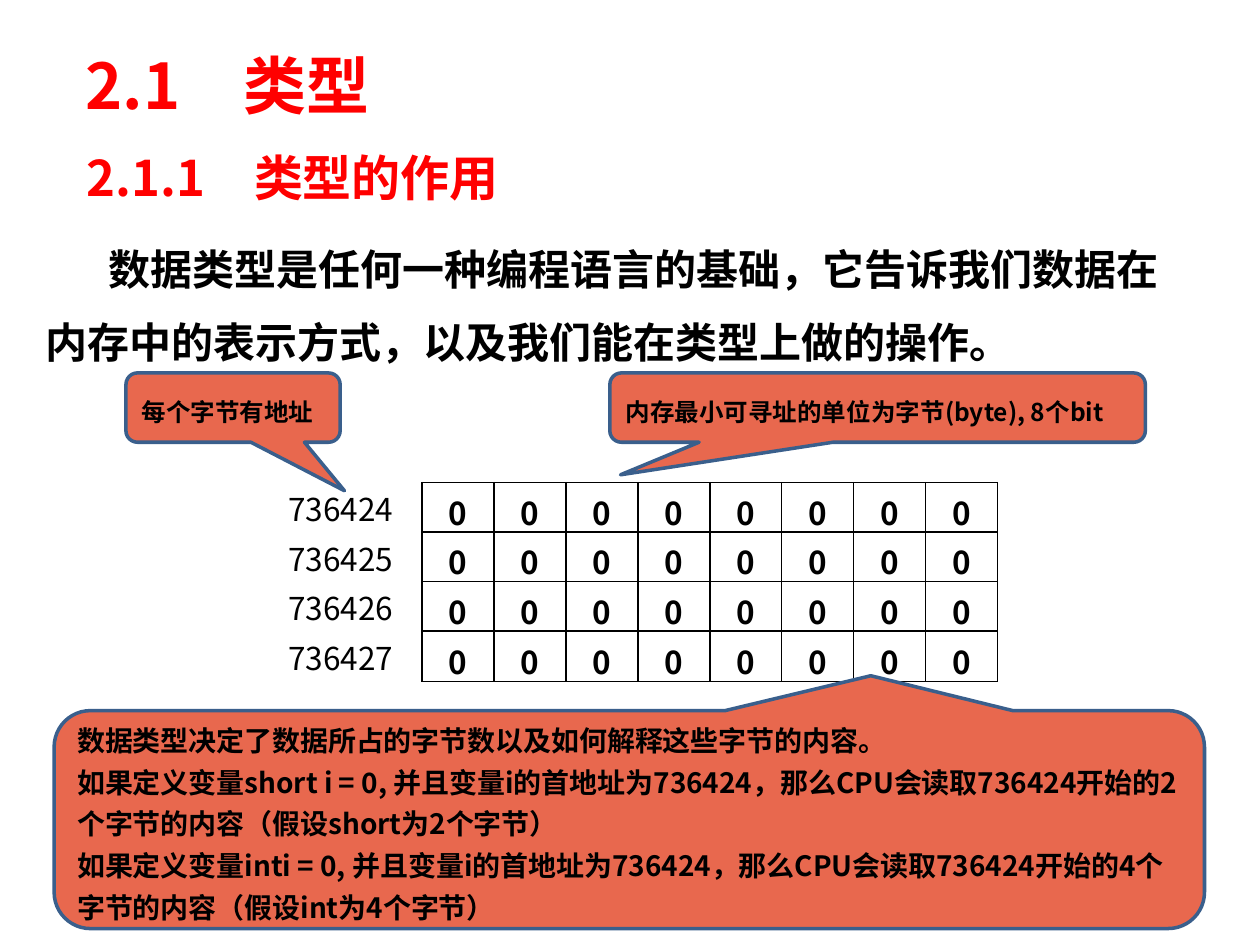
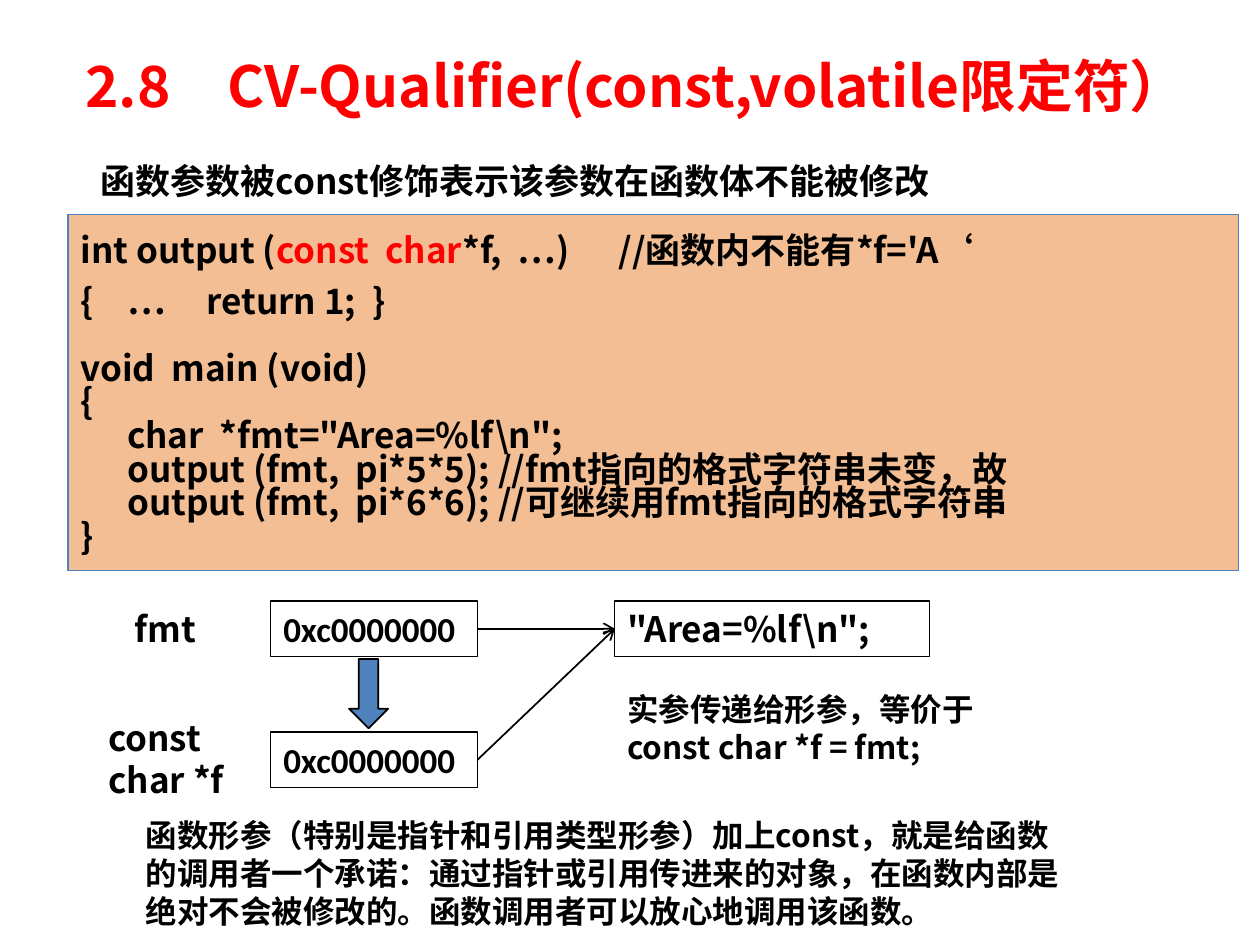
from lxml import etree
from pptx import Presentation
from pptx.dml.color import RGBColor
from pptx.enum import shapes, text
from pptx.oxml.ns import qn
from pptx.util import Inches, Pt

RED = RGBColor(0xFF, 0x00, 0x00)
BLACK = RGBColor(0x00, 0x00, 0x00)
WHITE = RGBColor(0xFF, 0xFF, 0xFF)
CORAL = RGBColor(0xE8, 0x68, 0x4E)
CALLOUT_EDGE = RGBColor(0x3A, 0x5F, 0x8C)
ORANGE = RGBColor(0xE4, 0x6C, 0x0A)
BLUE = RGBColor(0x4F, 0x81, 0xBD)
TITLE_FONT = "Noto Sans CJK SC"
BODY_FONT = "Noto Sans CJK JP"

deck = Presentation()
deck.slide_width, deck.slide_height = Inches(10), Inches(7.5)
COL, ROW = deck.slide_width / 100, deck.slide_height / 75  # 100 x 75 grid


def add(slide, place, kind=None, fill=None, edge=None, edge_width=0.75):
    """Add a text box, or a preset shape, at a place given in grid units."""
    x, y, w, h = place
    box = int(x * COL), int(y * ROW), int(w * COL), int(h * ROW)
    if kind is None:
        return slide.shapes.add_textbox(*box)
    shape = slide.shapes.add_shape(kind, *box)
    shape.shadow.inherit = False
    if fill is None:
        shape.fill.background()
    else:
        shape.fill.solid()
        shape.fill.fore_color.rgb = fill
    shape.line.color.rgb = edge
    shape.line.width = Pt(edge_width)
    return shape


def write(holder, lines, size, spacing=1.0, bold=True, color=BLACK, font=BODY_FONT,
          anchor=text.MSO_ANCHOR.TOP, align=text.PP_ALIGN.LEFT, wrap=True):
    """Write lines; a line is a string or a list of (words, colour) runs."""
    frame = holder.text_frame
    frame.word_wrap = wrap
    frame.vertical_anchor = anchor
    for number, line in enumerate(lines):
        paragraph = frame.add_paragraph() if number else frame.paragraphs[0]
        paragraph.alignment = align
        paragraph.line_spacing = spacing
        paragraph.font.size = Pt(size)
        paragraph.font.bold = bold
        paragraph.font.color.rgb = color
        paragraph.font.name = font
        defaults = paragraph._p.pPr.find(qn("a:defRPr"))
        etree.SubElement(defaults, qn("a:ea"), typeface=font)
        for words, tint in [(line, color)] if isinstance(line, str) else line:
            run = paragraph.add_run()
            run.text = words
            if tint != color:
                run.font.color.rgb = tint
    return frame


MIDDLE = text.MSO_ANCHOR.MIDDLE
blank = deck.slide_layouts[6]
types, qualifiers = (deck.slides.add_slide(blank) for _ in range(2))

for slide, place, heading, size in [
    (types, (5.8, 2.1, 85, 9.2), "2.1\u3000类型".replace("\u3000", "　"), 36),
    (types, (5.9, 9.4, 85, 9.2), "2.1.1　类型的作用", 28),
    (qualifiers, (5.8, 2.1, 90.6, 9.2), "2.8　CV-Qualifier(const,volatile限定符）", 32.4),
]:
    write(add(slide, place), [heading], size, color=RED, font=TITLE_FONT, anchor=MIDDLE)

# Types: introduction, memory rows and callouts
write(add(types, (2.6, 17, 91.7, 20)),
      ["\t数据类型是任何一种编程语言的基础，它告诉我们数据在内存中的表示方式，以及我们能在类型上做的操作。"],
      24, spacing=1.45)

BITS, BIT_WIDTH, BYTE_PITCH = 8, 5.71, 3.93
for row in range(4):
    byte = types.shapes.add_table(
        1, BITS, int(33.5 * COL), int((38.3 + row * BYTE_PITCH) * ROW),
        int(BITS * BIT_WIDTH * COL), int(BYTE_PITCH * ROW)).table
    for column in byte.columns:
        column.width = int(BIT_WIDTH * COL)
    for bit in byte.iter_cells():
        bit.fill.solid()
        bit.fill.fore_color.rgb = WHITE
        write(bit, ["0"], 18, align=text.PP_ALIGN.CENTER)
        bit.vertical_anchor = MIDDLE
        properties = bit._tc.get_or_add_tcPr()
        for position, side in enumerate(("lnL", "lnR", "lnT", "lnB")):
            border = etree.Element(qn(f"a:{side}"), w=str(Pt(1)))
            ink = etree.SubElement(border, qn("a:solidFill"))
            etree.SubElement(ink, qn("a:srgbClr"), val=str(BLACK))
            properties.insert(position, border)
    address = add(types, (21.9, 38.4 + row * BYTE_PITCH, 10.6, 4))
    write(address, [str(736424 + row)], 18, bold=False, wrap=False)

for place, pointer, size, lines in [
    ((48.4, 29.6, 42.5, 5.5), (-0.48, 0.97), 14, ["内存最小可寻址的单位为字节(byte), 8个bit"]),
    ((10, 29.6, 17, 5.5), (0.52, 1.2), 14, ["每个字节有地址"]),
    ((4.3, 56.4, 91.3, 17.3), (0.21, -0.66), 16, [
        "数据类型决定了数据所占的字节数以及如何解释这些字节的内容。",
        "如果定义变量short i = 0, 并且变量i的首地址为736424，那么CPU会读取736424开始的2个字节的内容（假设short为2个字节）",
        "如果定义变量inti = 0, 并且变量i的首地址为736424，那么CPU会读取736424开始的4个字节的内容（假设int为4个字节）",
    ]),
]:
    callout = add(types, place, shapes.MSO_SHAPE.ROUNDED_RECTANGULAR_CALLOUT,
                  CORAL, CALLOUT_EDGE, 2)
    callout.adjustments[0], callout.adjustments[1] = pointer
    write(callout, lines, size, spacing=1.25, anchor=MIDDLE)

# Qualifiers: code panel
write(add(qualifiers, (2, 11.5, 96.3, 5)),
      ["\t函数参数被const修饰表示该参数在函数体不能被修改"], 20, spacing=1.2)

panel = add(qualifiers, (5.4, 17, 92.9, 28.3), shapes.MSO_SHAPE.RECTANGLE, ORANGE, BLUE)
tint = panel._element.spPr.find(qn("a:solidFill"))[0]
etree.SubElement(tint, qn("a:alpha"), val="44000")
code = write(panel, [
    [("int output (", BLACK), ("const  char", RED), ("*f,  …)\t//函数内不能有*f='A‘", BLACK)],
    "{\t…\treturn 1;  }",
    "void  main (void)",
    "{",
    "\tchar  *fmt=\"Area=%lf\\n\";",
    "\toutput (fmt,  pi*5*5); //fmt指向的格式字符串未变，故",
    "\toutput (fmt,  pi*6*6); //可继续用fmt指向的格式字符串",
    "}",
], 20, spacing=0.8, align=text.PP_ALIGN.JUSTIFY)
signature, body, main_line = code.paragraphs[:3]
main_line.space_before = Pt(19)
for line, stops in [(signature, [4.27]), (body, [0.37, 1])]:
    line.line_spacing = 1.2
    tabs = etree.Element(qn("a:tabLst"))
    for stop in stops:
        etree.SubElement(tabs, qn("a:tab"), pos=str(Inches(stop)), algn="l")
    line._p.pPr.find(qn("a:defRPr")).addprevious(tabs)

# Qualifiers: pointers and the string they share
pointer, parameter, string = (
    add(qualifiers, place, shapes.MSO_SHAPE.RECTANGLE, edge=BLACK)
    for place in [(21.5, 47.7, 16.4, 4.4), (21.5, 58.1, 16.4, 4.4), (48.8, 47.7, 25, 4.4)])
for holder in (pointer, parameter):
    write(holder, ["0xc0000000"], 20, font="Calibri")
write(string, ["\"Area=%lf\\n\";"], 20)

for holder in (pointer, parameter):
    arrow = qualifiers.shapes.add_connector(shapes.MSO_CONNECTOR.STRAIGHT, 0, 0, 0, 0)
    arrow.begin_connect(holder, 3)
    arrow.end_connect(string, 1)
    arrow.line.color.rgb = BLACK
    arrow.line.width = Pt(1)
    etree.SubElement(arrow.line._get_or_add_ln(), qn("a:tailEnd"), type="arrow")
    etree.SubElement(arrow._element.spPr, qn("a:effectLst"))

add(qualifiers, (27.7, 52.3, 3.1, 5.5), shapes.MSO_SHAPE.DOWN_ARROW, BLUE, BLACK, 1)

for place, lines, size, wrap in [
    ((9.7, 47.7, 8.6, 4.4), ["fmt"], 20, True),
    ((7.6, 56.4, 12.5, 7.7), ["const char *f"], 20, True),
    ((48.8, 54.3, 29.8, 7.1), ["实参传递给形参，等价于", "const char *f = fmt;"], 18, False),
    ((10.6, 64.3, 74.9, 10.1),
     ["函数形参（特别是指针和引用类型形参）加上const，就是给函数的调用者一个承诺：通过指针或引用传进来的对象，"
      "在函数内部是绝对不会被修改的。函数调用者可以放心地调用该函数。"], 18, True),
]:
    write(add(qualifiers, place), lines, size, wrap=wrap)

deck.save("out.pptx")
